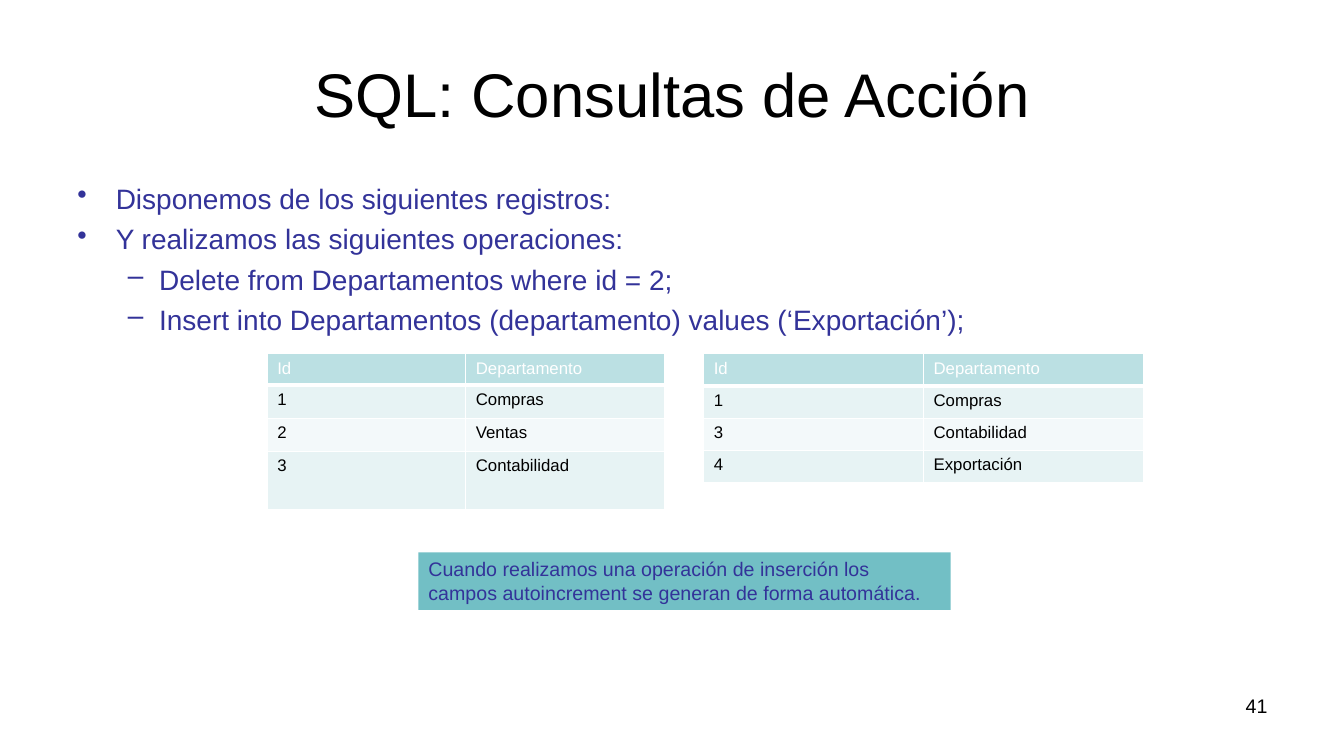
import pptx
import pptx.dml.color
import pptx.enum.shapes
import pptx.enum.text
import pptx.oxml
import pptx.oxml.ns
import pptx.util
from pptx.util import Inches

Pt = pptx.util.Pt
ALIGN = pptx.enum.text.PP_ALIGN
ANCHOR = pptx.enum.text.MSO_ANCHOR
FONT = "Arial"
COLORS = {
    "black": "000000",
    "white": "FFFFFF",
    "indigo": "333399",
    "header": "BBE0E3",
    "odd_row": "E7F3F4",
    "even_row": "F3F9FA",
    "note": "72BFC5",
}


def rgb(name):
    return pptx.dml.color.RGBColor.from_string(COLORS[name])


def add_span(para, text, size, color):
    span = para.add_run()
    span.text = text
    span.font.name = FONT
    span.font.size = Pt(size)
    span.font.color.rgb = rgb(color)


def add_text(page, area, text, size, align, anchor=ANCHOR.TOP):
    box = page.shapes.add_textbox(*map(Inches, area))
    box.text_frame.word_wrap = True
    box.text_frame.vertical_anchor = anchor
    para = box.text_frame.paragraphs[0]
    para.alignment = align
    add_span(para, text, size, "black")


def set_bullet(para, level):
    mark, left, hanging = (("•", 0.38, 0.38), ("–", 0.81, 0.31))[level]
    para.level = level
    para.space_before = Pt(4.8)
    properties = para._p.get_or_add_pPr()
    properties.set("marL", str(Inches(left)))
    properties.set("indent", str(-Inches(hanging)))
    bullet = pptx.oxml.parse_xml(
        f'<a:buChar {pptx.oxml.ns.nsdecls("a")} char="{mark}"/>')
    properties.append(bullet)


def add_bullets(page, area, items):
    box = page.shapes.add_textbox(*map(Inches, area))
    box.text_frame.word_wrap = True
    for index, (level, text) in enumerate(items):
        frame = box.text_frame
        para = frame.add_paragraph() if index else frame.paragraphs[0]
        set_bullet(para, level)
        add_span(para, text, 20, "indigo")


def set_borders(cell, bottom):
    properties = cell._tc.get_or_add_tcPr()
    for side, width in (("L", 1), ("R", 1), ("T", 1), ("B", bottom)):
        properties.append(pptx.oxml.parse_xml(
            f'<a:ln{side} {pptx.oxml.ns.nsdecls("a")} w="{Pt(width)}">'
            f'<a:solidFill><a:srgbClr val="{COLORS["white"]}"/></a:solidFill>'
            f'</a:ln{side}>'))


def add_records(page, left, top, column_width, heights, records):
    rows = [("Id", "Departamento")] + records
    table = page.shapes.add_table(
        len(rows), 2, Inches(left), Inches(top),
        Inches(2 * column_width), Inches(sum(heights))).table
    for column in table.columns:
        column.width = Inches(column_width)
    for index, (values, height) in enumerate(zip(rows, heights)):
        table.rows[index].height = Inches(height)
        is_header = index == 0
        fill = "header" if is_header else ("even_row", "odd_row")[index % 2]
        for cell, text in zip(table.rows[index].cells, values):
            set_borders(cell, 3 if is_header else 1)
            cell.fill.solid()
            cell.fill.fore_color.rgb = rgb(fill)
            add_span(cell.text_frame.paragraphs[0], text, 12,
                     "white" if is_header else "black")


def add_note(page, area, text):
    note = page.shapes.add_shape(
        pptx.enum.shapes.MSO_SHAPE.RECTANGLE, *map(Inches, area))
    note.shadow.inherit = False
    note.fill.solid()
    note.fill.fore_color.rgb = rgb("note")
    note.line.fill.background()
    note.text_frame.word_wrap = True
    note.text_frame.vertical_anchor = ANCHOR.TOP
    para = note.text_frame.paragraphs[0]
    para.alignment = ALIGN.LEFT
    add_span(para, text, 14, "indigo")


def main():
    deck = pptx.Presentation()
    deck.slide_width = Inches(13.33)
    deck.slide_height = Inches(7.5)
    page = deck.slides.add_slide(deck.slide_layouts[6])

    # Title and statements
    add_text(page, (0.67, 0.3, 12, 1.25), "SQL: Consultas de Acción", 44,
             ALIGN.CENTER, ANCHOR.MIDDLE)
    add_bullets(page, (0.67, 1.75, 12, 4.95), [
        (0, "Disponemos de los siguientes registros:"),
        (0, "Y realizamos las siguientes operaciones:"),
        (1, "Delete from Departamentos where id = 2;"),
        (1, "Insert into Departamentos (departamento) values (‘Exportación’);"),
    ])

    # Page number
    add_text(page, (9.56, 6.83, 3.11, 0.52), "41", 14, ALIGN.RIGHT)

    # Records before and after the operations
    add_records(page, 2.65, 3.51, 1.97, (0.31, 0.33, 0.33, 0.58),
                [("1", "Compras"), ("2", "Ventas"), ("3", "Contabilidad")])
    add_records(page, 6.98, 3.51, 2.18, (0.32,) * 4,
                [("1", "Compras"), ("3", "Contabilidad"), ("4", "Exportación")])

    # Closing remark
    add_note(page, (4.15, 5.48, 5.28, 0.57),
             "Cuando realizamos una operación de inserción los campos "
             "autoincrement se generan de forma automática.")

    deck.save("out.pptx")


if __name__ == "__main__":
    main()
